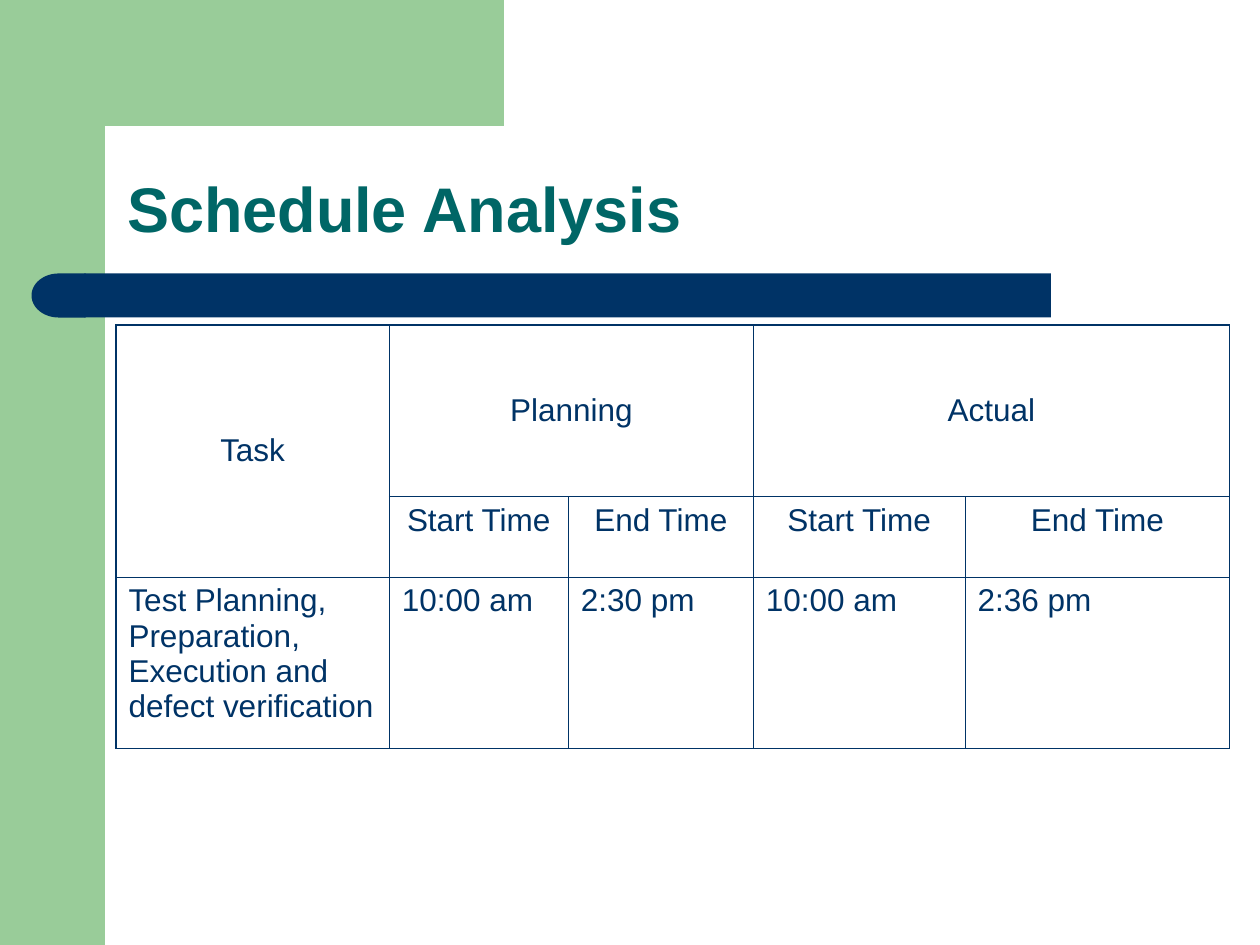
import math

from lxml import etree
from pptx import Presentation
from pptx import util as u
from pptx.dml.color import RGBColor
from pptx.enum import shapes, text
from pptx.oxml.ns import qn

GREEN = RGBColor(0x99, 0xCC, 0x99)
NAVY = RGBColor(0x00, 0x33, 0x66)
TEAL = RGBColor(0x00, 0x66, 0x66)
WIDTH, HEIGHT = 10, 7.5
THIN, THICK = 0.45, 1.08

COLUMNS = [2.17, 1.42, 1.47, 1.68, 2.1]
ROWS = [1.36, 0.64, 1.36]
CELLS = [
    ["Task", "Planning", "", "Actual", ""],
    ["", "Start Time", "End Time", "Start Time", "End Time"],
    ["Test Planning, Preparation, Execution and defect verification",
     "10:00 am", "2:30 pm", "10:00 am", "2:36 pm"],
]
MERGES = [((0, 0), (1, 0)), ((0, 1), (0, 2)), ((0, 3), (0, 4))]


def set_format(target, values):
    for name, value in values.items():
        setattr(target, name, value)


def paint(shape, color):
    shape.shadow.inherit = False
    shape.fill.solid()
    shape.fill.fore_color.rgb = color
    shape.line.fill.background()


def add_block(slide, kind, box, color):
    shape = slide.shapes.add_shape(kind, *map(u.Inches, box))
    paint(shape, color)
    return shape


def add_corner(slide, width, height):
    """Side band and top band, joined by a rounded inner corner."""
    band, right, radius = width / 12, width * 0.35, width * 0.033
    add_block(slide, shapes.MSO_SHAPE.RECTANGLE, (0, 0, band, height), GREEN)
    center = band + radius
    arc = [(center - radius * math.sin(angle), center - radius * math.cos(angle))
           for angle in (math.radians(step * 7.5) for step in range(13))]
    left, bottom = width * 0.05, width * 0.128
    builder = slide.shapes.build_freeform(u.Inches(right), 0, scale=u.Inches(1))
    builder = slide.shapes.build_freeform(right, 0, scale=u.Inches(1))
    builder.add_line_segments(
        [(right, band), *arc, (band, bottom), (left, bottom), (left, 0)], close=True)
    paint(builder.convert_to_shape(), GREEN)


def add_bar(slide, left, top, width, height):
    """Bar with a round left end."""
    cap = 0.43
    add_block(slide, shapes.MSO_SHAPE.RECTANGLE,
              (left + cap - 0.01, top, width - cap + 0.01, height), NAVY)
    end = add_block(slide, shapes.MSO_SHAPE.FLOWCHART_DELAY,
                    (left, top, cap, height), NAVY)
    end.rotation = 180


def add_title(slide, left, top, width, height):
    title = slide.shapes.title
    set_format(title, dict(left=u.Inches(left), top=u.Inches(top),
                           width=u.Inches(width), height=u.Inches(height)))
    frame = title.text_frame
    frame.text = "Schedule Analysis"
    set_format(frame, dict(vertical_anchor=text.MSO_ANCHOR.BOTTOM, word_wrap=True,
                           auto_size=text.MSO_AUTO_SIZE.NONE))
    paragraph = frame.paragraphs[0]
    set_format(paragraph, dict(alignment=text.PP_ALIGN.LEFT, line_spacing=0.9))
    set_format(paragraph.font, dict(name="Arial", size=u.Pt(36), bold=True))
    paragraph.font.color.rgb = TEAL


def set_borders(cell, edges):
    """Draw the four cell edges; edges maps L, R, T, B to points."""
    properties = cell._tc.get_or_add_tcPr()
    for index, (side, points) in enumerate(edges.items()):
        line = etree.Element(qn(f"a:ln{side}"), w=str(u.Pt(points)))
        fill = etree.SubElement(line, qn("a:solidFill"))
        etree.SubElement(fill, qn("a:srgbClr"), val=str(NAVY))
        properties.insert(index, line)


def add_schedule(slide, left, top):
    frame = slide.shapes.add_table(
        len(ROWS), len(COLUMNS),
        *map(u.Inches, (left, top, sum(COLUMNS), sum(ROWS))))
    table = frame.table
    set_format(table, dict(first_row=False, horz_banding=False))
    for column, width in zip(table.columns, COLUMNS):
        column.width = u.Inches(width)
    for row, height in zip(table.rows, ROWS):
        row.height = u.Inches(height)
    for first, last in MERGES:
        table.cell(*first).merge(table.cell(*last))

    last_row, last_column = len(ROWS) - 1, len(COLUMNS) - 1
    for r, values in enumerate(CELLS):
        for c, value in enumerate(values):
            cell = table.cell(r, c)
            cell.fill.background()
            set_borders(cell, {
                "L": THICK if c == 0 else THIN,
                "R": THICK if c == last_column else THIN,
                "T": THICK if r == 0 else THIN,
                "B": THICK if r == last_row else THIN,
            })
            if not value:
                continue
            cell.text = value
            cell.vertical_anchor = (text.MSO_ANCHOR.MIDDLE if r == 0
                                    else text.MSO_ANCHOR.TOP)
            paragraph = cell.text_frame.paragraphs[0]
            paragraph.alignment = (text.PP_ALIGN.LEFT if r == last_row
                                   else text.PP_ALIGN.CENTER)
            set_format(paragraph.font, dict(name="Arial", size=u.Pt(18)))
            paragraph.font.color.rgb = NAVY


def main():
    presentation = Presentation()
    set_format(presentation, dict(slide_width=u.Inches(WIDTH),
                                  slide_height=u.Inches(HEIGHT)))
    slide = presentation.slides.add_slide(presentation.slide_layouts[5])
    add_corner(slide, WIDTH, HEIGHT)
    add_bar(slide, 0.25, 2.17, 8.09, 0.35)
    add_title(slide, 0.91, 0.91, 8.51, 1.09)
    add_schedule(slide, 0.92, 2.58)
    presentation.save("out.pptx")


if __name__ == "__main__":
    main()
